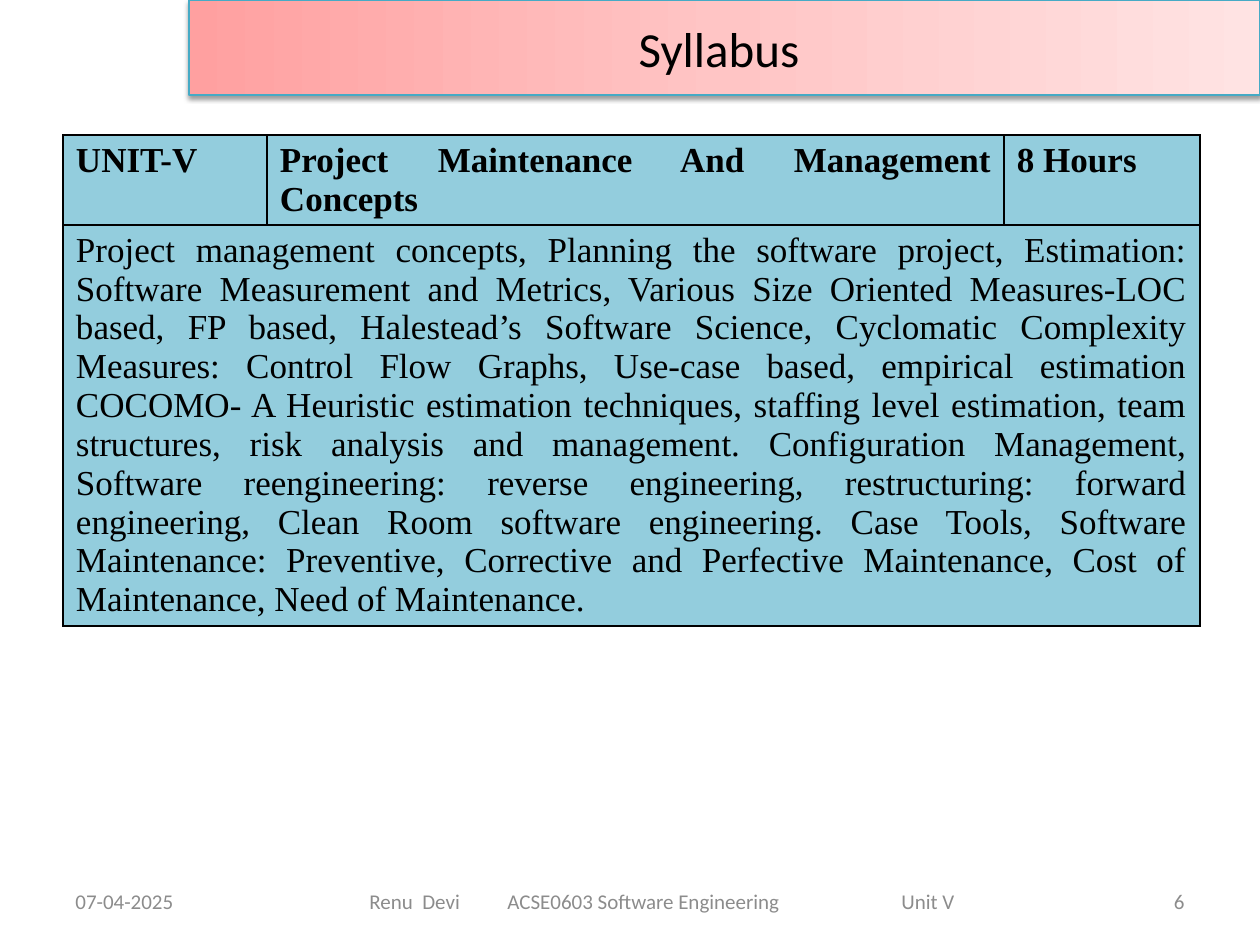
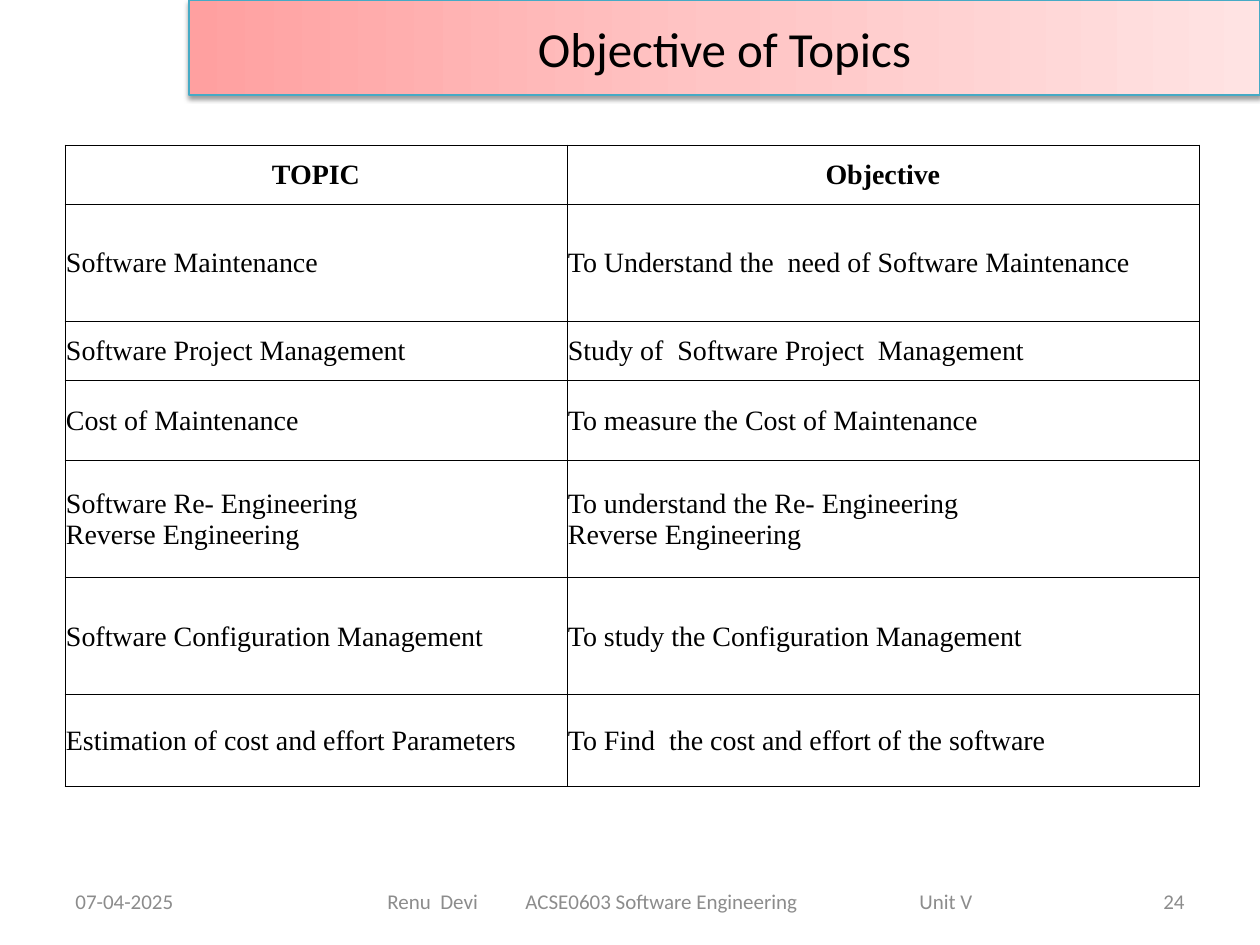
from copy import deepcopy
from dataclasses import dataclass

from lxml import etree
from pptx import Presentation
from pptx.dml.color import RGBColor
from pptx.enum.text import MSO_ANCHOR, MSO_AUTO_SIZE, PP_ALIGN
from pptx.oxml.ns import qn
from pptx.util import Pt

LEFT, CENTER, RIGHT, JUSTIFY = PP_ALIGN.LEFT, PP_ALIGN.CENTER, PP_ALIGN.RIGHT, PP_ALIGN.JUSTIFY
TOP, MIDDLE = MSO_ANCHOR.TOP, MSO_ANCHOR.MIDDLE
NO_FIT = MSO_AUTO_SIZE.NONE
EMU_PER_PX = 914400 / 126


@dataclass(frozen=True)
class Theme:
    ink: str = "000000"
    muted: str = "8C8C8C"
    band: tuple = ((0, "FFA0A0"), (50, "FFC5C5"), (100, "FFE3E3"))
    band_line: str = "46AAC5"
    syllabus_fill: str = "93CDDD"
    topic_fill: str = "FFFFFF"
    sans: str = "Calibri"
    serif: str = "Times New Roman"
    title_size: int = 28
    syllabus_size: int = 20
    topic_size: int = 16
    footer_size: int = 12


THEME = Theme()

PAGE_SIZE = (1260, 945)
TITLE_BOX = (189, 0, 1071, 95)
FOOTER_BOX = (63, 876, 1134, 50)
SYLLABUS_BOX = (63, 135, 1137, 491)
TOPIC_BOX = (65, 145, 1134, 642)

DATE = "07-04-2025"
FOOTER_PARTS = ("Renu  Devi", "ACSE0603 Software Engineering", "Unit V")
UNIT_HEADINGS = ("UNIT-V", "Project Maintenance And Management Concepts", "8 Hours")
UNIT_CONTENT = (
    "Project management concepts, Planning the software project, Estimation: "
    "Software Measurement and Metrics, Various Size Oriented Measures-LOC based, FP based, "
    "Halestead’s Software Science, Cyclomatic Complexity Measures: Control Flow Graphs, "
    "Use-case based, empirical estimation COCOMO- A Heuristic estimation techniques, "
    "staffing level estimation, team structures, risk analysis and management. "
    "Configuration Management, Software reengineering: reverse engineering, restructuring: "
    "forward engineering, Clean Room software engineering. Case Tools, Software Maintenance: "
    "Preventive, Corrective and Perfective Maintenance, Cost of Maintenance, Need of Maintenance."
)
TOPIC_ROWS = (
    (59, "TOPIC", "Objective"),
    (117, "Software Maintenance", "To Understand the  need of Software Maintenance"),
    (59, "Software Project Management", "Study of  Software Project  Management"),
    (81, "Cost of Maintenance", "To measure the Cost of Maintenance"),
    (117, "Software Re- Engineering\nReverse Engineering",
     "To understand the Re- Engineering\nReverse Engineering"),
    (117, "Software Configuration Management", "To study the Configuration Management"),
    (92, "Estimation of cost and effort Parameters",
     "To Find  the cost and effort of the software"),
)


def px(length):
    return round(length * EMU_PER_PX)


def write(frame, text, font, size, color, align=LEFT, bold=False):
    for index, line in enumerate(text.split("\n")):
        para = frame.paragraphs[0] if index == 0 else frame.add_paragraph()
        para.alignment = align
        span = para.add_run()
        span.text = line
        span.font.name = font
        span.font.size = Pt(size)
        span.font.bold = bold
        span.font.color.rgb = RGBColor.from_string(color)


def add_solid(parent, color):
    fill = etree.SubElement(parent, qn("a:solidFill"))
    return etree.SubElement(fill, qn("a:srgbClr"), val=color)


def fill_band(shape):
    shape.fill.gradient()
    shape.fill.gradient_angle = 0
    stop_list = shape.element.spPr.find(".//" + qn("a:gsLst"))
    stop_list.insert(1, deepcopy(stop_list[0]))
    for stop, (position, color) in zip(shape.fill.gradient_stops, THEME.band):
        stop.position = position / 100
        stop.color.rgb = RGBColor.from_string(color)
    shape.line.color.rgb = RGBColor.from_string(THEME.band_line)
    shape.line.width = Pt(0.75)


def drop_shadow(shape):
    effects = etree.SubElement(shape.element.spPr, qn("a:effectLst"))
    shadow = etree.SubElement(
        effects, qn("a:outerShdw"), blurRad=str(Pt(3.1)), dist=str(Pt(1.6)),
        dir="5400000", rotWithShape="0")
    color = etree.SubElement(shadow, qn("a:srgbClr"), val=THEME.ink)
    etree.SubElement(color, qn("a:alpha"), val="38000")


def title_band(page, box, text):
    title = page.shapes.title
    title.left, title.top, title.width, title.height = map(px, box)
    fill_band(title)
    drop_shadow(title)
    frame = title.text_frame
    frame.auto_size = NO_FIT
    frame.vertical_anchor = MIDDLE
    write(frame, text, THEME.sans, THEME.title_size, THEME.ink, CENTER)


def footer_text(page, box, text, align=LEFT):
    frame = page.shapes.add_textbox(*map(px, box)).text_frame
    frame.word_wrap = True
    frame.vertical_anchor = MIDDLE
    write(frame, text, THEME.sans, THEME.footer_size, THEME.muted, align)
    return frame


def footer(page, box, number, course_offset):
    left, top, width, height = box
    side_width = 294
    footer_text(page, (left, top, side_width, height), DATE)
    footer_text(page, (left + width - side_width, top, side_width, height), number, RIGHT)
    course_box = (left + course_offset, top, 636, height)
    course = footer_text(page, course_box, "\t".join(FOOTER_PARTS))
    tabs = etree.SubElement(course.paragraphs[0]._p.get_or_add_pPr(), qn("a:tabLst"))
    for position in (138, 532):
        etree.SubElement(tabs, qn("a:tab"), pos=str(px(position)), algn="l")


def add_grid(page, box, columns, rows):
    grid = page.shapes.add_table(len(rows), len(columns), *map(px, box)).table
    grid.first_row = grid.horz_banding = False
    for column, width in zip(grid.columns, columns):
        column.width = px(width)
    for row, height in zip(grid.rows, rows):
        row.height = px(height)
    return grid


def style_cell(cell, fill, border, insets, anchor):
    cell.fill.solid()
    cell.fill.fore_color.rgb = RGBColor.from_string(fill)
    cell.margin_left, cell.margin_top, cell.margin_right, cell.margin_bottom = map(px, insets)
    cell.vertical_anchor = anchor
    properties = cell._tc.get_or_add_tcPr()
    for index, side in enumerate(("a:lnL", "a:lnR", "a:lnT", "a:lnB")):
        line = etree.Element(qn(side), w=str(Pt(border)))
        add_solid(line, THEME.ink)
        properties.insert(index, line)


def syllabus_table(page, box):
    grid = add_grid(page, box, (204, 737, 196), (90, 401))
    for cell in grid.iter_cells():
        style_cell(cell, THEME.syllabus_fill, 1, (13, 6, 13, 6), TOP)
    content = grid.cell(1, 0)
    content.merge(grid.cell(1, 2))
    for column, heading in enumerate(UNIT_HEADINGS):
        write(grid.cell(0, column).text_frame, heading, THEME.serif,
              THEME.syllabus_size, THEME.ink, JUSTIFY, bold=True)
    write(content.text_frame, UNIT_CONTENT, THEME.serif,
          THEME.syllabus_size, THEME.ink, JUSTIFY)


def topic_table(page, box):
    grid = add_grid(page, box, (502, 632), [row[0] for row in TOPIC_ROWS])
    for row, (_, *texts) in enumerate(TOPIC_ROWS):
        is_heading = row == 0
        for column, text in enumerate(texts):
            cell = grid.cell(row, column)
            style_cell(cell, THEME.topic_fill, 0.5, (1, 1, 1, 0), MIDDLE)
            align = CENTER if is_heading else (LEFT, JUSTIFY)[column]
            write(cell.text_frame, text, THEME.serif, THEME.topic_size,
                  THEME.ink, align, is_heading)


def table_page(deck, title, number, course_offset, add_content, content_box):
    page = deck.slides.add_slide(deck.slide_layouts.get_by_name("Title Only"))
    title_band(page, TITLE_BOX, title)
    add_content(page, content_box)
    footer(page, FOOTER_BOX, number, course_offset)


def main():
    deck = Presentation()
    deck.slide_width, deck.slide_height = map(px, PAGE_SIZE)
    table_page(deck, "Syllabus ", "6", 294, syllabus_table, SYLLABUS_BOX)
    table_page(deck, "Objective of Topics", "24", 312, topic_table, TOPIC_BOX)
    deck.save("out.pptx")


if __name__ == "__main__":
    main()
